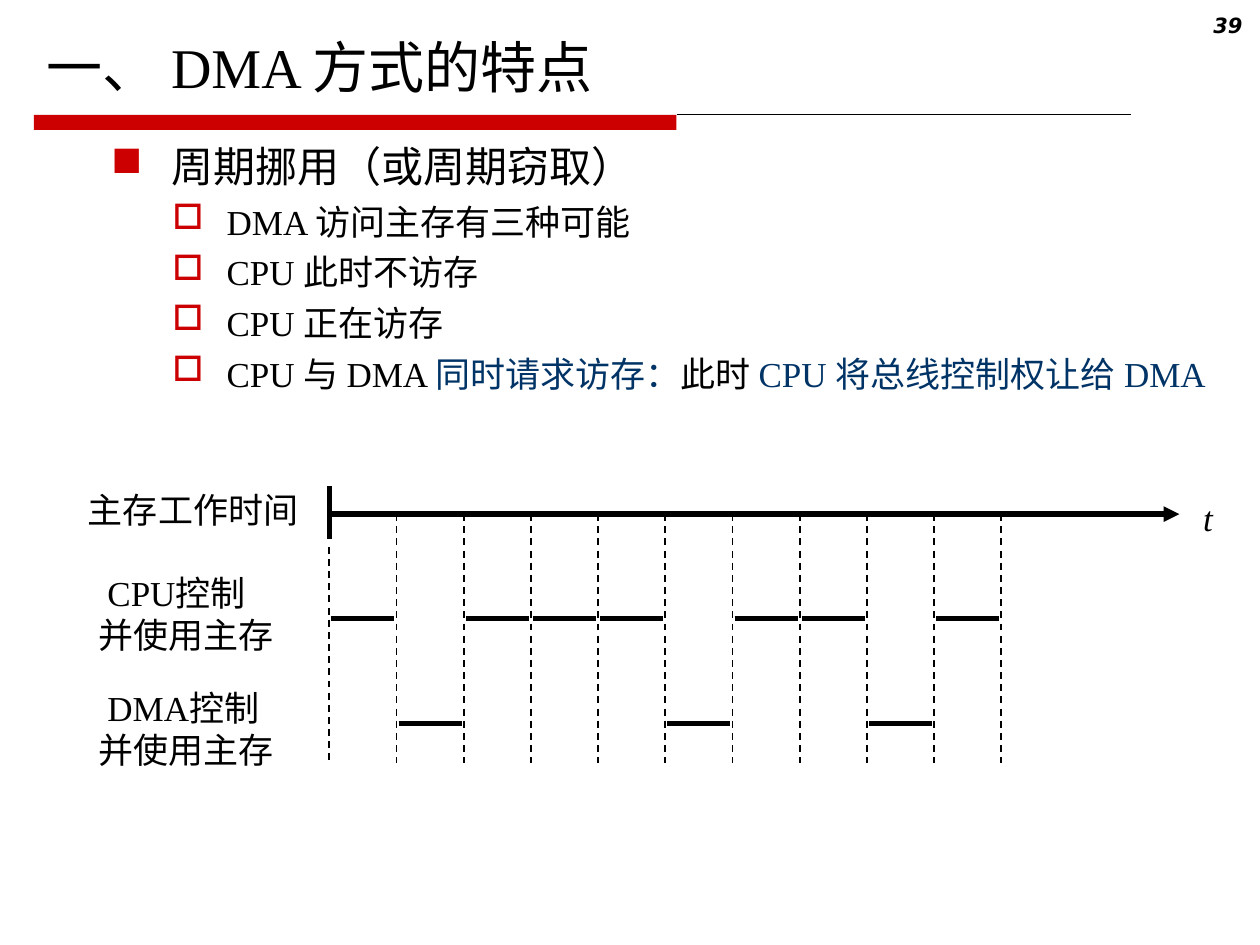
from dataclasses import dataclass

from lxml import etree
from pptx import Presentation
from pptx.dml.color import RGBColor
from pptx.enum.dml import MSO_LINE
from pptx.enum.shapes import MSO_CONNECTOR, MSO_SHAPE
from pptx.enum.text import MSO_ANCHOR, PP_ALIGN
from pptx.oxml.ns import qn
from pptx.util import Pt

STRAIGHT = MSO_CONNECTOR.STRAIGHT
RECTANGLE = MSO_SHAPE.RECTANGLE
DASH = MSO_LINE.DASH
TOP, BOTTOM = MSO_ANCHOR.TOP, MSO_ANCHOR.BOTTOM
LEFT, RIGHT = PP_ALIGN.LEFT, PP_ALIGN.RIGHT

COLORS = {"black": "000000", "red": "CC0000", "navy": "003366"}
SERIF, SANS = "Times New Roman", "DejaVu Sans"


@dataclass
class Span:
    text: str
    size: float = 20
    color: str = "black"
    font: str = SERIF
    bold: bool = False
    italic: bool = False


@dataclass
class Para:
    spans: list[Span]
    margin: float = 0
    hanging: float = 0
    bullet: str = ""
    space_before: float = 0
    align: PP_ALIGN = LEFT


@dataclass
class TextBox:
    left: float
    top: float
    width: float
    height: float
    paras: list[Para]
    wrap: bool = True
    anchor: MSO_ANCHOR = TOP


def rgb(name: str) -> RGBColor:
    return RGBColor.from_string(COLORS[name])


def format_para(para, item: Para) -> None:
    """Set the indent, bullet, spacing and alignment of a paragraph."""
    properties = para._p.get_or_add_pPr()
    properties.set("marL", str(Pt(item.margin)))
    properties.set("indent", str(Pt(-item.hanging)))
    if item.bullet:
        bullet_color = etree.SubElement(properties, qn("a:buClr"))
        etree.SubElement(bullet_color, qn("a:srgbClr"), val=COLORS["red"])
        etree.SubElement(properties, qn("a:buChar"), char=item.bullet)
    para.space_before = Pt(item.space_before)
    para.alignment = item.align


def draw_text(page, item: TextBox) -> None:
    box = page.shapes.add_textbox(
        Pt(item.left), Pt(item.top), Pt(item.width), Pt(item.height))
    frame = box.text_frame
    frame.word_wrap = item.wrap
    frame.vertical_anchor = item.anchor
    for index, para_item in enumerate(item.paras):
        para = frame.add_paragraph() if index else frame.paragraphs[0]
        format_para(para, para_item)
        for span_item in para_item.spans:
            span = para.add_run()
            span.text = span_item.text
            span.font.name = span_item.font
            span.font.size = Pt(span_item.size)
            span.font.bold = span_item.bold
            span.font.italic = span_item.italic
            span.font.color.rgb = rgb(span_item.color)


def draw_line(page, x1: float, y1: float, x2: float, y2: float,
              width: float, dashed: bool = False, arrow: bool = False) -> None:
    line = page.shapes.add_connector(STRAIGHT, Pt(x1), Pt(y1), Pt(x2), Pt(y2))
    line.line.color.rgb = rgb("black")
    line.line.width = Pt(width)
    if dashed:
        line.line.dash_style = DASH
    if arrow:
        etree.SubElement(line.line._get_or_add_ln(), qn("a:tailEnd"), type="triangle")
    etree.SubElement(line._element.spPr, qn("a:effectLst"))


def sub_bullet(*spans: Span) -> Para:
    return Para(list(spans), 103, 31, "□", 5)


def two_line_label(top: float, name: str) -> TextBox:
    return TextBox(49.3, top, 114.5, 55.4, [
        Para([Span(name)], margin=5),
        Para([Span("并使用主存")]),
    ], wrap=False)


# Title, bullets, page number and diagram labels
TEXTS = [
    TextBox(19.4, 9.4, 680.4, 51.1,
            [Para([Span("一、 DMA 方式的特点", 32)])], anchor=BOTTOM),
    TextBox(19.4, 77, 680.4, 447.8, [
        Para([Span("周期挪用（或周期窃取）", 24)], 71.5, 34.5, "■"),
        sub_bullet(Span("DMA 访问主存有三种可能")),
        sub_bullet(Span("CPU 此时不访存")),
        sub_bullet(Span("CPU 正在访存")),
        sub_bullet(Span("CPU 与 DMA "), Span("同时请求访存：", color="navy"),
                   Span("此时 "), Span("CPU 将总线控制权让给 DMA", color="navy")),
    ]),
    TextBox(674.6, 3.6, 42.5, 16.6,
            [Para([Span("39", 12, font=SANS, bold=True, italic=True)], align=RIGHT)]),
    TextBox(43.2, 275.8, 134.6, 31.7, [Para([Span("主存工作时间")])], wrap=False),
    two_line_label(322.8, "CPU控制"),
    two_line_label(388.8, "DMA控制"),
    TextBox(680.4, 280.2, 19.4, 31.7, [Para([Span("t", italic=True)])], wrap=False),
]

# Timing diagram: who uses main memory in each cycle
AXIS_LEFT, AXIS_RIGHT, AXIS_Y = 188.2, 673.9, 293.8
CYCLE, GAP = 38.4, 1.2
GRID_BOTTOM = 436
LEVELS = {"C": 353.5, "D": 413.3}
CYCLE_OWNERS = "CDCCCDCCDC"


def draw_title_rule(page) -> None:
    bar = page.shapes.add_shape(RECTANGLE, Pt(19.4), Pt(65.7), Pt(367.2), Pt(8.6))
    bar.shadow.inherit = False
    bar.fill.solid()
    bar.fill.fore_color.rgb = rgb("red")
    bar.line.fill.background()
    draw_line(page, 386.6, 65.7, 646.4, 65.7, 0.5)


def draw_timing(page) -> None:
    # Time axis and its start mark
    draw_line(page, AXIS_LEFT, 278, AXIS_LEFT, 308.2, 3)
    draw_line(page, AXIS_LEFT, AXIS_Y, AXIS_RIGHT, AXIS_Y, 3, arrow=True)
    # Cycle boundaries
    for index in range(len(CYCLE_OWNERS) + 1):
        x = AXIS_LEFT + index * CYCLE
        top = AXIS_Y if index else 312.5
        draw_line(page, x, top, x, GRID_BOTTOM, 1, dashed=True)
    # Occupied cycles
    for index, owner in enumerate(CYCLE_OWNERS):
        x = AXIS_LEFT + index * CYCLE
        y = LEVELS[owner]
        draw_line(page, x + GAP, y, x + CYCLE - GAP, y, 3)


def main() -> None:
    deck = Presentation()
    deck.slide_width, deck.slide_height = Pt(720), Pt(540)
    page = deck.slides.add_slide(deck.slide_layouts[6])
    draw_title_rule(page)
    for item in TEXTS:
        draw_text(page, item)
    draw_timing(page)
    deck.save("out.pptx")


if __name__ == "__main__":
    main()
